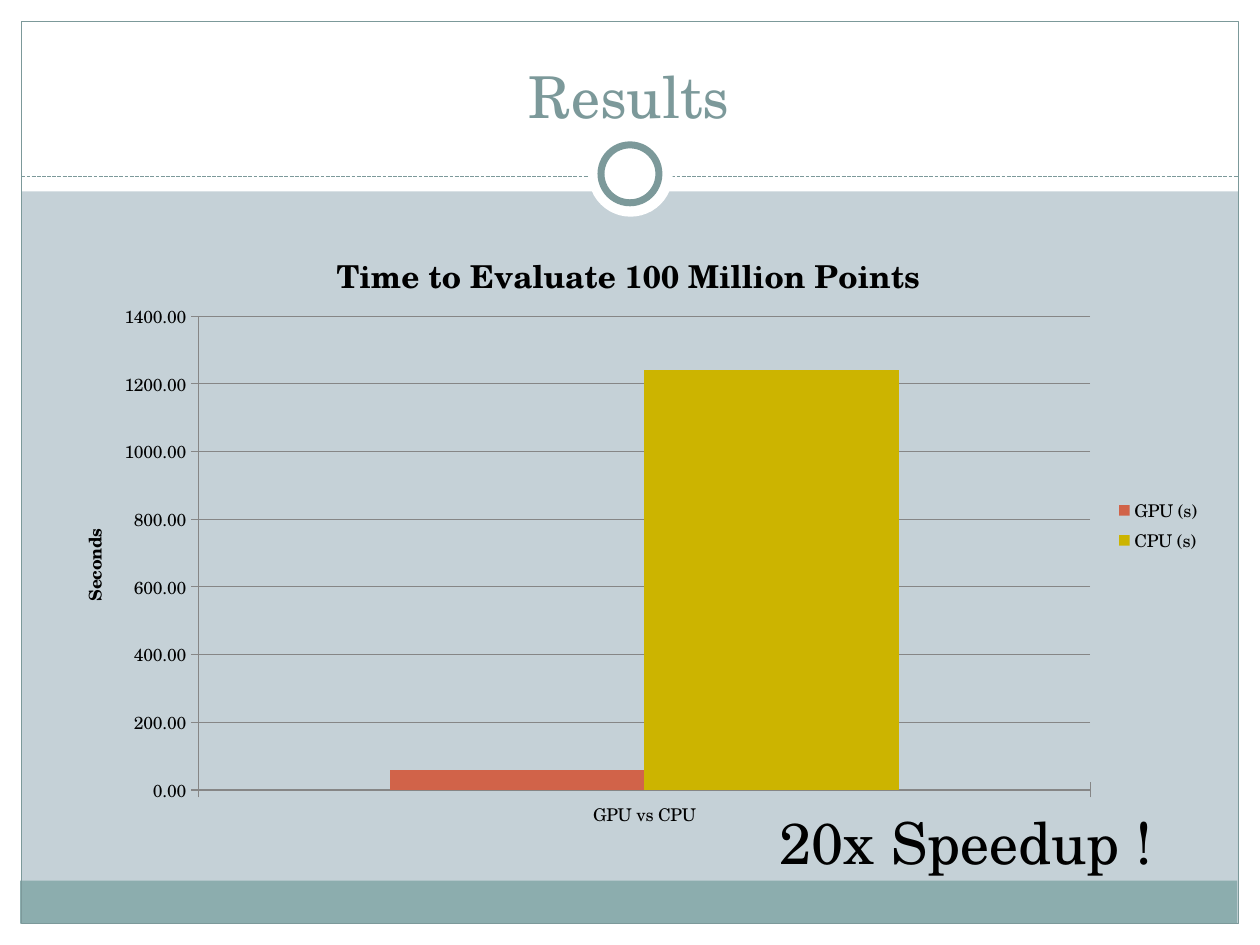
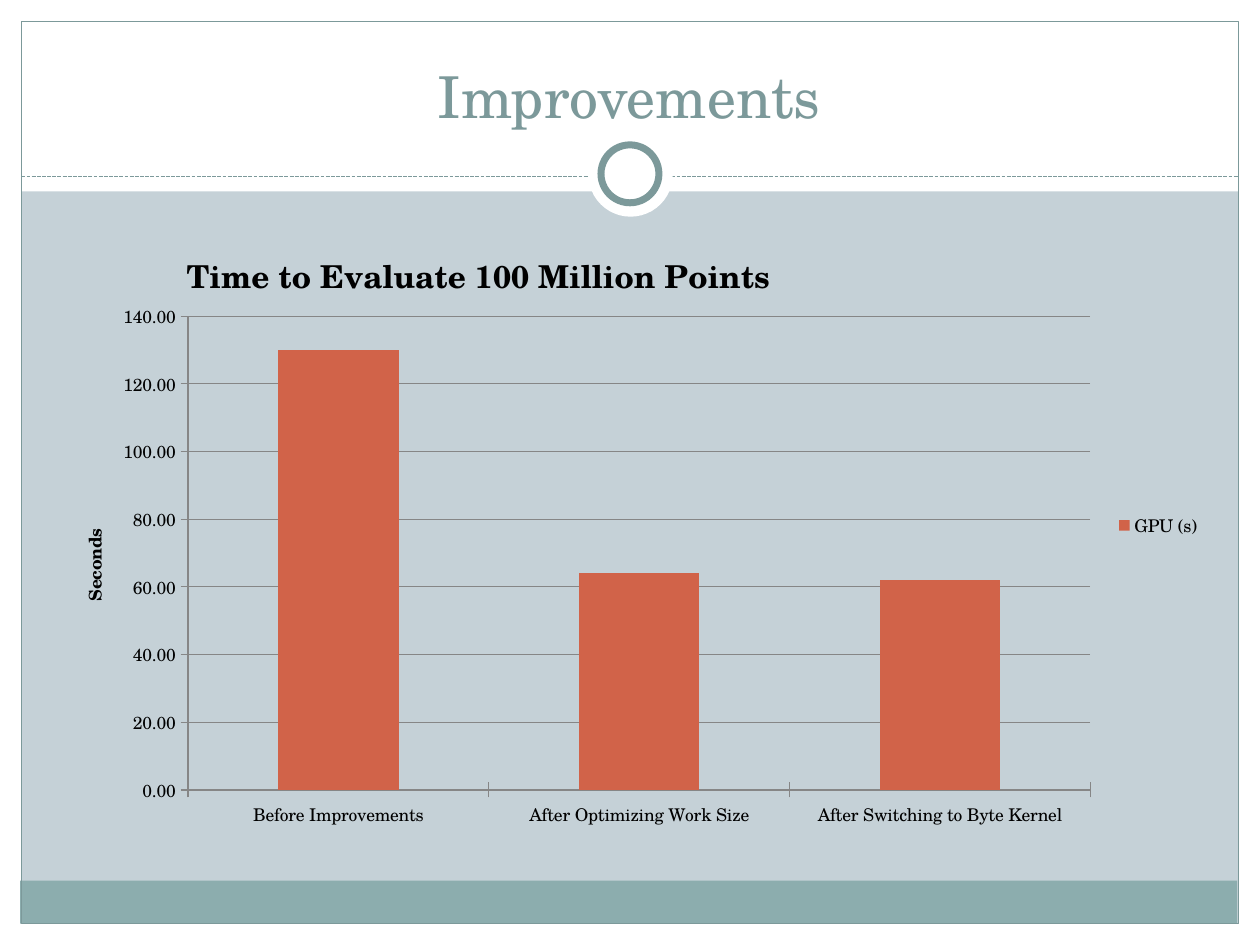
from lxml.etree import SubElement
from pptx import Presentation
from pptx.chart.data import CategoryChartData
from pptx.dml.color import RGBColor
from pptx.enum.chart import XL_CHART_TYPE, XL_LEGEND_POSITION, XL_TICK_MARK
from pptx.enum.dml import MSO_LINE
from pptx.enum.shapes import MSO_CONNECTOR, MSO_SHAPE
from pptx.enum.text import MSO_ANCHOR, PP_ALIGN
from pptx.oxml import parse_xml
from pptx.oxml.ns import nsdecls, qn
from pptx.util import Inches, Pt

FONT = "TeX Gyre Schola"
COLORS = {
    "background": "C5D1D7",
    "white": "FFFFFF",
    "band": "8CADAE",
    "accent": "7C999A",
    "text": "000000",
    "grid": "868686",
    "gpu": "D16349",
    "cpu": "CCB400",
}


def rgb(name):
    return RGBColor.from_string(COLORS[name])


def add_block(s, kind, box, fill=None, line=None, width=0.75):
    sp = s.shapes.add_shape(kind, *map(Inches, box))
    sp.shadow.inherit = False
    if fill:
        sp.fill.solid()
        sp.fill.fore_color.rgb = rgb(fill)
    else:
        sp.fill.background()
    if line:
        sp.line.color.rgb = rgb(line)
        sp.line.width = Pt(width)
    else:
        sp.line.fill.background()
    return sp


def add_dashed_line(s, x1, y1, x2, y2):
    cx = s.shapes.add_connector(MSO_CONNECTOR.STRAIGHT, *map(Inches, (x1, y1, x2, y2)))
    cx.line.color.rgb = rgb("accent")
    cx.line.width = Pt(0.75)
    cx.line.dash_style = MSO_LINE.SQUARE_DOT
    SubElement(cx._element.spPr, qn("a:effectLst"))


def style_font(font, size, color="text", bold=False):
    font.name = FONT
    font.size = Pt(size)
    font.bold = bold
    font.color.rgb = rgb(color)


def add_text(s, text, box, size=33, color="text"):
    tf = s.shapes.add_textbox(*map(Inches, box)).text_frame
    tf.word_wrap = True
    tf.vertical_anchor = MSO_ANCHOR.BOTTOM
    p = tf.paragraphs[0]
    p.alignment = PP_ALIGN.CENTER
    r = p.add_run()
    r.text = text
    style_font(r.font, size, color)


def add_framed_slide(prs, title):
    s = prs.slides.add_slide(prs.slide_layouts[6])
    s.background.fill.solid()
    s.background.fill.fore_color.rgb = rgb("background")
    margins = [(0, 7.33, 10, 0.17), (0, 0, 10, 1.52), (0, 0, 0.17, 7.5), (9.83, 0, 0.17, 7.5)]
    for box in margins:
        add_block(s, MSO_SHAPE.RECTANGLE, box, fill="white")
    add_block(s, MSO_SHAPE.RECTANGLE, (0.16, 6.99, 9.66, 0.34), fill="band")
    add_block(s, MSO_SHAPE.RECTANGLE, (0.17, 0.17, 9.66, 7.16), line="accent")
    add_dashed_line(s, 0.17, 1.4, 9.83, 1.4)
    add_block(s, MSO_SHAPE.OVAL, (4.67, 1.05, 0.67, 0.67), fill="white")
    add_block(s, MSO_SHAPE.OVAL, (4.77, 1.15, 0.46, 0.46), fill="white", line="accent", width=4)
    add_text(s, title, (0.33, 0.25, 9.33, 0.83), color="accent")
    return s


def set_layout(element, index, inner=False, **fractions):
    for old in element.findall(qn("c:layout")):
        element.remove(old)
    layout = parse_xml(f"<c:layout {nsdecls('c')}><c:manualLayout/></c:layout>")
    manual = layout[0]
    if inner:
        SubElement(manual, qn("c:layoutTarget")).set("val", "inner")
    for key in ("x", "y"):
        SubElement(manual, qn(f"c:{key}Mode")).set("val", "edge")
    for key, value in fractions.items():
        SubElement(manual, qn(f"c:{key}")).set("val", str(value))
    element.insert(index, layout)


def set_chart_title(title, text, size, x, y):
    tf = title.text_frame
    tf.text = text
    style_font(tf.paragraphs[0].runs[0].font, size, bold=True)
    set_layout(title._element, 1, x=x, y=y)


def style_axis(axis):
    axis.major_tick_mark = XL_TICK_MARK.CROSS
    axis.minor_tick_mark = XL_TICK_MARK.NONE
    axis.format.line.color.rgb = rgb("grid")
    axis.format.line.width = Pt(0.75)


def add_time_chart(s, categories, series, top, step, title_x, plot_x):
    data = CategoryChartData(number_format="0.00")
    data.categories = categories
    for name, values, _ in series:
        data.add_series(name, values)
    box = map(Inches, (0.33, 1.67, 9.3, 5))
    chart = s.shapes.add_chart(XL_CHART_TYPE.COLUMN_CLUSTERED, *box, data).chart
    style_font(chart.font, 10)
    set_chart_title(chart.chart_title, "Time to Evaluate 100 Million Points", 18, title_x, 0.05)

    chart.has_legend = True
    chart.legend.position = XL_LEGEND_POSITION.RIGHT
    chart.legend.include_in_layout = False

    style_axis(chart.category_axis)
    axis = chart.value_axis
    style_axis(axis)
    axis.minimum_scale = 0
    axis.maximum_scale = top
    axis.major_unit = step
    axis.tick_labels.number_format = "0.00"
    axis.tick_labels.number_format_is_linked = False
    axis.has_major_gridlines = True
    axis.major_gridlines.format.line.color.rgb = rgb("grid")
    axis.major_gridlines.format.line.width = Pt(0.75)
    set_chart_title(axis.axis_title, "Seconds", 10, 0.03, 0.5)

    plot = chart.plots[0]
    plot.gap_width = 150
    plot.overlap = 0
    plot.vary_by_categories = False
    for bars, (_, _, color) in zip(plot.series, series):
        bars.format.fill.solid()
        bars.format.fill.fore_color.rgb = rgb(color)
    plot_area = chart._chartSpace.chart.plotArea
    set_layout(plot_area, 0, inner=True, x=plot_x, y=0.168, w=round(0.895 - plot_x, 3), h=0.752)


def main():
    prs = Presentation()
    prs.slide_width = Inches(10)
    prs.slide_height = Inches(7.5)

    s = add_framed_slide(prs, "Results")
    results = [("GPU (s)", [60], "gpu"), ("CPU (s)", [1240], "cpu")]
    add_time_chart(s, ["GPU vs CPU"], results, top=1400, step=200, title_x=0.247, plot_x=0.134)
    add_text(s, "20x Speedup !", (5.67, 6.17, 4, 0.83))

    s = add_framed_slide(prs, "Improvements")
    stages = ["Before Improvements", "After Optimizing Work Size", "After Switching to Byte Kernel"]
    timings = [("GPU (s)", [130, 64, 62], "gpu")]
    add_time_chart(s, stages, timings, top=140, step=20, title_x=0.119, plot_x=0.125)

    prs.save("out.pptx")


if __name__ == "__main__":
    main()
